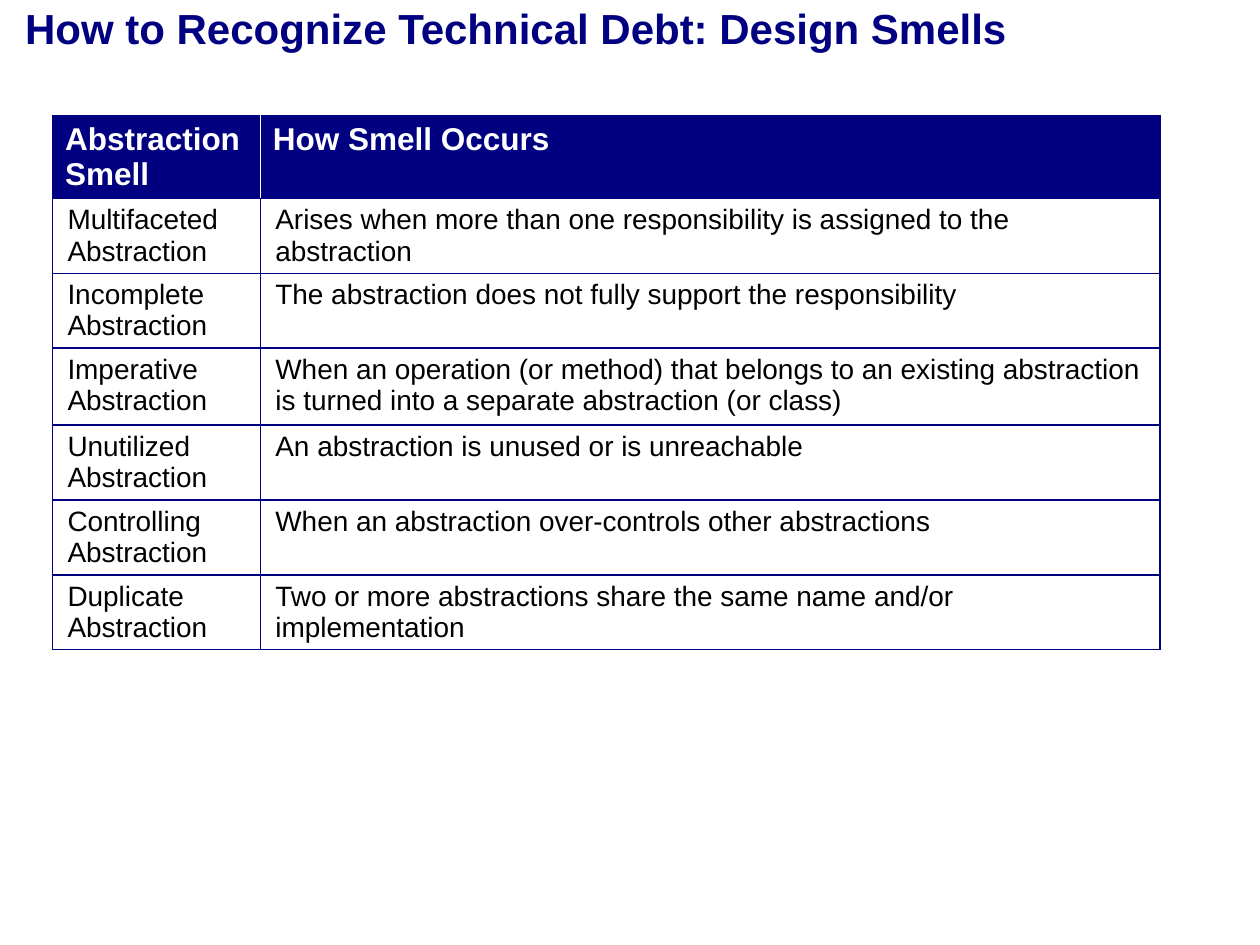
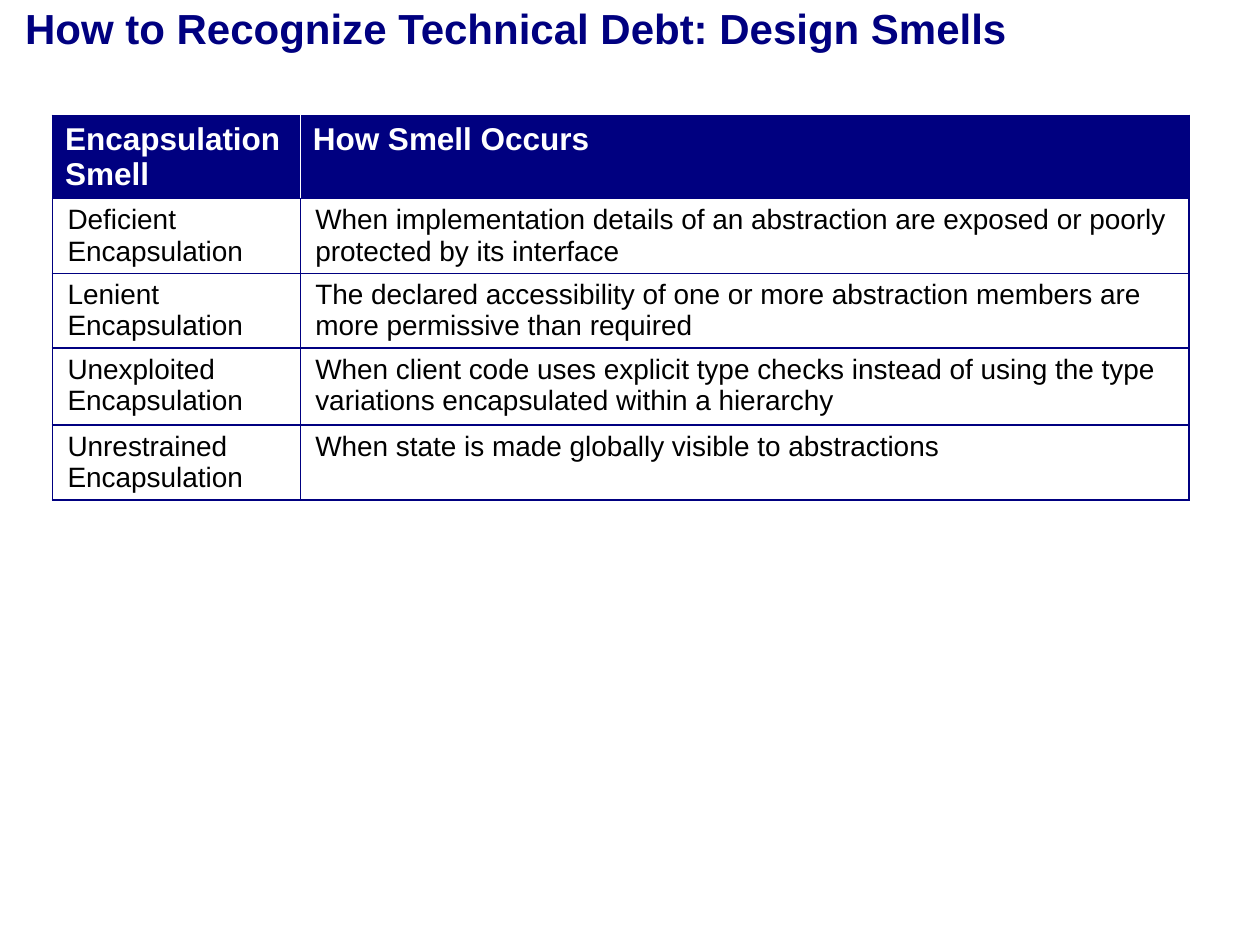
from lxml.etree import SubElement
from pptx import Presentation
from pptx.dml.color import RGBColor
from pptx.enum.text import MSO_ANCHOR
from pptx.oxml.ns import qn
from pptx.util import Pt

COLORS = {"navy": "000080", "white": "FFFFFF", "black": "000000"}
FONT = "Arial"
TITLE = "How to Recognize Technical Debt: Design Smells"
HEADER_HEIGHT, ROW_HEIGHT, TALL_ROW_HEIGHT = 47.4, 42.8, 44
TALL_ROW = 3

ABSTRACTION_SMELLS = [
    ("Abstraction Smell", "How Smell Occurs"),
    ("Multifaceted Abstraction",
     "Arises when more than one responsibility is assigned to the abstraction"),
    ("Incomplete Abstraction",
     "The abstraction does not fully support the responsibility"),
    ("Imperative Abstraction",
     "When an operation (or method) that belongs to an existing abstraction "
     "is turned into a separate abstraction (or class)"),
    ("Unutilized Abstraction", "An abstraction is unused or is unreachable"),
    ("Controlling Abstraction",
     "When an abstraction over-controls other abstractions"),
    ("Duplicate Abstraction",
     "Two or more abstractions share the same name and/or implementation"),
]
ENCAPSULATION_SMELLS = [
    ("Encapsulation Smell", "How Smell Occurs"),
    ("Deficient Encapsulation",
     "When implementation details of an abstraction are exposed or poorly "
     "protected by its interface"),
    ("Lenient Encapsulation",
     "The declared accessibility of one or more abstraction members are "
     "more permissive than required"),
    ("Unexploited Encapsulation",
     "When client code uses explicit type checks instead of using the type "
     "variations encapsulated within a hierarchy"),
    ("Unrestrained Encapsulation",
     "When state is made globally visible to abstractions"),
]


def write(tf, text, size=16, color="black", bold=False):
    tf.word_wrap = True
    r = tf.paragraphs[0].add_run()
    r.text = text
    r.font.name, r.font.size, r.font.bold = FONT, Pt(size), bold
    r.font.color.rgb = RGBColor.from_string(COLORS[color])


def set_borders(cell, **colors):
    """Draw 1 pt borders, navy unless a side (L, R, T, B) is given a colour."""
    tcPr = cell._tc.get_or_add_tcPr()
    for i, side in enumerate("LRTB"):
        ln = SubElement(tcPr, qn(f"a:ln{side}"), w=str(Pt(1)))
        fill = SubElement(ln, qn("a:solidFill"))
        SubElement(fill, qn("a:srgbClr"), val=COLORS[colors.get(side, "navy")])
        tcPr.insert(i, ln)  # borders come before the cell fill


class Deck:
    def __init__(self):
        self.prs = Presentation()
        self.prs.slide_width, self.prs.slide_height = Pt(720), Pt(540)
        self.s = None

    def new_slide(self, title):
        self.s = self.prs.slides.add_slide(self.prs.slide_layouts[6])
        self.title(title)

    def title(self, text):
        tf = self.s.shapes.add_textbox(0, 0, Pt(720), Pt(32)).text_frame
        tf.margin_left, tf.margin_right = Pt(14.4), Pt(7.2)
        tf.margin_top = tf.margin_bottom = 0
        tf.vertical_anchor = MSO_ANCHOR.MIDDLE
        write(tf, text, size=24, color="navy", bold=True)

    def table(self, rows, widths):
        heights = [HEADER_HEIGHT] + [ROW_HEIGHT] * (len(rows) - 1)
        heights[TALL_ROW] = TALL_ROW_HEIGHT
        table = self.s.shapes.add_table(
            len(rows), len(widths), Pt(30), Pt(66),
            Pt(sum(widths)), Pt(sum(heights))).table
        for column, width in zip(table.columns, widths):
            column.width = Pt(width)
        for i, (row, height) in enumerate(zip(table.rows, heights)):
            row.height = Pt(height)
            for cell, text in zip(row.cells, rows[i]):
                if i == 0:
                    self.header_cell(cell, text)
                else:
                    self.body_cell(cell, text)
        # White divider between the header cells
        set_borders(table.cell(0, 0), R="white")
        set_borders(table.cell(0, 1), L="white")

    def header_cell(self, cell, text):
        self.fill(cell, "navy")
        write(cell.text_frame, text, size=18, color="white", bold=True)

    def body_cell(self, cell, text):
        self.fill(cell, "white")
        cell.margin_left = cell.margin_right = Pt(8.6)
        write(cell.text_frame, text)
        set_borders(cell)

    def fill(self, cell, color):
        cell.fill.solid()
        cell.fill.fore_color.rgb = RGBColor.from_string(COLORS[color])
        cell.margin_bottom = 0  # the row heights leave the space below


def main():
    deck = Deck()

    # Abstraction smells
    deck.new_slide(TITLE)
    deck.table(ABSTRACTION_SMELLS, widths=(118.8, 514.2))

    # Encapsulation smells
    deck.new_slide(TITLE)
    deck.table(ENCAPSULATION_SMELLS, widths=(141.6, 507.8))

    deck.prs.save("out.pptx")


if __name__ == "__main__":
    main()
